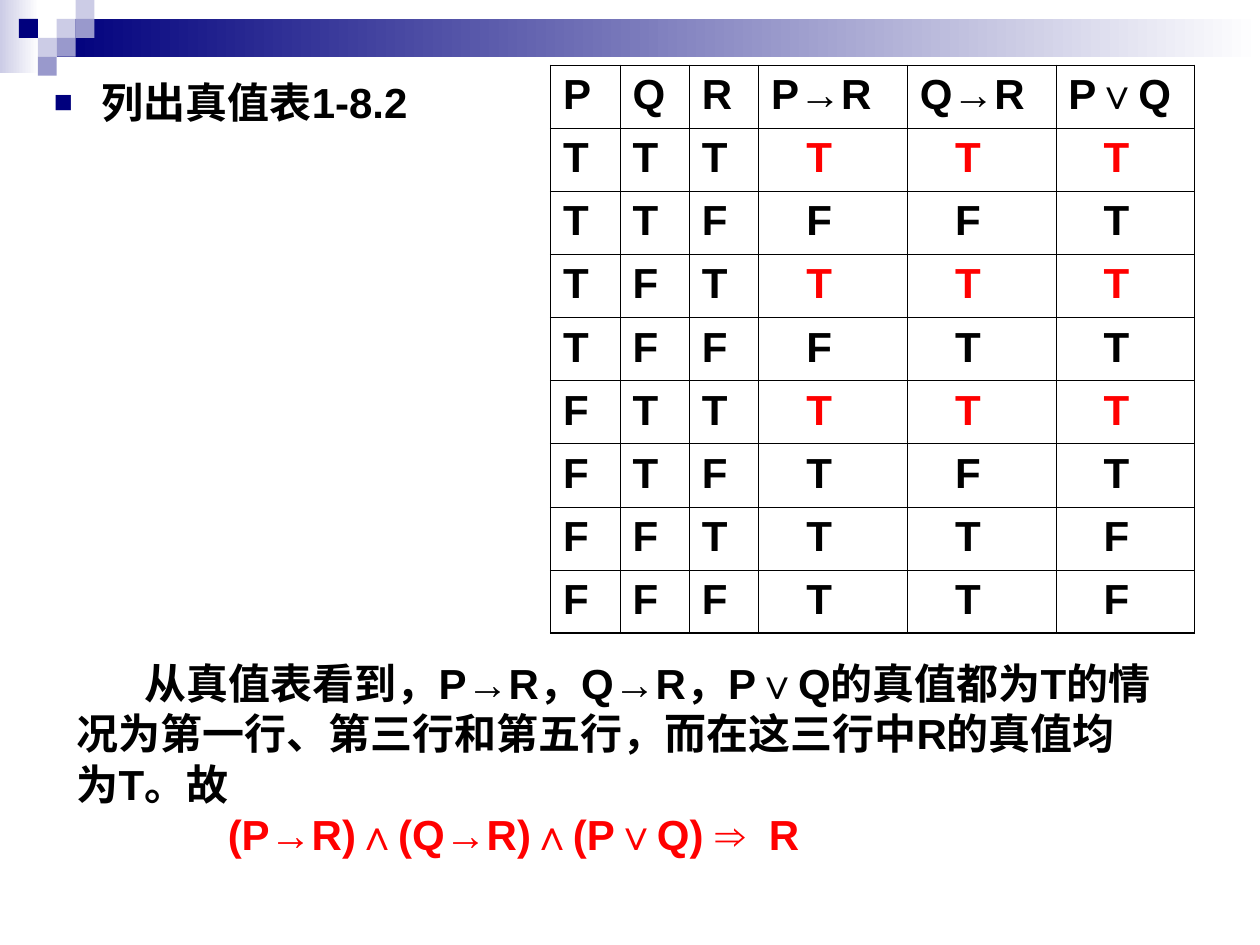
import itertools

import pptx
import pptx.dml.color
import pptx.enum.shapes
import pptx.oxml
import pptx.oxml.ns
import pptx.util

RGBColor = pptx.dml.color.RGBColor
Inches = pptx.util.Inches
Pt = pptx.util.Pt

NAVY = RGBColor(0x00, 0x00, 0x7D)
PERIWINKLE = RGBColor(0x99, 0x99, 0xCC)
LAVENDER = RGBColor(0xCC, 0xCC, 0xE6)
WHITE = RGBColor(0xFF, 0xFF, 0xFF)
BLACK = RGBColor(0x00, 0x00, 0x00)
RED = RGBColor(0xFF, 0x00, 0x00)

WIDTH, HEIGHT = 10, 7.5
UNIT = 0.15  # side of one header square
FONT = {"name": "Arial", "size": Pt(24), "bold": True}
MARGINS = {"margin_left": Inches(0.1), "margin_right": Inches(0.1),
           "margin_top": Inches(0.05), "margin_bottom": Inches(0.05)}

# (column, row, colour) on the header grid
SQUARES = [(3, 1, LAVENDER), (4, 0, LAVENDER), (4, 1, PERIWINKLE),
           (2, 2, LAVENDER), (1, 1, NAVY), (3, 2, PERIWINKLE),
           (2, 3, PERIWINKLE)]

HEADINGS = ["P", "Q", "R", "P→R", "Q→R", "P∨Q"]
COLUMN_WIDTHS = [0.55, 0.55, 0.55, 1.18, 1.18, 1.1]
ROW_HEIGHT = 0.5
RESULT_INDENT = 0.28

CONCLUSION = [
    ("从真值表看到，P→R，Q→R，P∨Q的真值都为T的情况为第一行、第三行和第五行，"
     "而在这三行中R的真值均为T。故", BLACK, 0.54),
    ("(P→R)∧(Q→R)∧(P∨Q) ⇒  R", RED, 1.2),
]


def apply(target, values):
    for name, value in values.items():
        setattr(target, name, value)


def add_xml(parent, xml):
    ns = pptx.oxml.ns.nsdecls("a")
    tag, rest = xml[:xml.index(" ")], xml[xml.index(" "):]
    parent.append(pptx.oxml.parse_xml(f"{tag} {ns}{rest}"))


def add_run(p, text, color=BLACK):
    r = p.add_run()
    r.text = text
    apply(r.font, FONT)
    r.font.color.rgb = color


def add_rect(s, left, top, width, height, *colors):
    """One colour gives a solid fill, two give a left-to-right gradient."""
    sp = s.shapes.add_shape(pptx.enum.shapes.MSO_SHAPE.RECTANGLE,
                            *map(Inches, (left, top, width, height)))
    sp.shadow.inherit = False
    sp.line.fill.background()
    if len(colors) == 1:
        sp.fill.solid()
        sp.fill.fore_color.rgb = colors[0]
        return
    sp.fill.gradient()
    sp.fill.gradient_angle = 0
    for stop, position, color in zip(sp.fill.gradient_stops, (0, 1), colors):
        stop.position = position
        stop.color.rgb = color


def add_header(s):
    add_rect(s, 0, 0, 0.31, 0.58, LAVENDER, WHITE)
    add_rect(s, 3 * UNIT, UNIT, WIDTH - 3 * UNIT, 2 * UNIT, NAVY, WHITE)
    for col, row, color in SQUARES:
        add_rect(s, col * UNIT, row * UNIT, UNIT, UNIT, color)


def add_text(s, left, top, width, height):
    tf = s.shapes.add_textbox(*map(Inches, (left, top, width, height))).text_frame
    apply(tf, {"word_wrap": True, **MARGINS})
    return tf


def add_bullet_line(s, text):
    p = add_text(s, 0.33, 0.6, 3.17, 0.79).paragraphs[0]
    apply(p, {"line_spacing": 0.9, "space_before": Pt(6)})
    pPr = p._p.get_or_add_pPr()
    pPr.set("marL", str(Inches(0.38)))
    pPr.set("indent", str(-Inches(0.38)))
    add_xml(pPr, f'<a:buClr ><a:srgbClr val="{NAVY}"/></a:buClr>')
    add_xml(pPr, '<a:buSzPct val="75000"/>')
    add_xml(pPr, '<a:buFont typeface="Arial"/>')
    add_xml(pPr, '<a:buChar char="■"/>')
    add_run(p, text)


def truth_rows():
    """Yield the truth values of each row, P changing slowest."""
    for p, q, r in itertools.product((True, False), repeat=3):
        yield p, q, r, not p or r, not q or r, p or q


def set_borders(cell, outer_sides):
    tcPr = cell._tc.get_or_add_tcPr()
    for side in "LRTB":
        width = Pt(1.08 if side in outer_sides else 0.45)
        add_xml(tcPr, f'<a:ln{side} w="{width}"><a:solidFill>'
                      f'<a:srgbClr val="{BLACK}"/></a:solidFill></a:ln{side}>')


def fill_cell(cell, text, color, indent, outer_sides):
    apply(cell, MARGINS)
    cell.margin_left = Inches(0.1 + indent)
    set_borders(cell, outer_sides)
    cell.fill.background()
    p = cell.text_frame.paragraphs[0]
    p.space_before = Pt(6)
    add_run(p, text, color)


def add_truth_table(s):
    rows = [(HEADINGS, BLACK, 0)]
    for values in truth_rows():
        color = RED if all(values[3:]) else BLACK
        rows.append((["T" if v else "F" for v in values], color, RESULT_INDENT))
    n_rows, n_cols = len(rows), len(HEADINGS)
    table = s.shapes.add_table(
        n_rows, n_cols, Inches(4.37), Inches(0.52),
        Inches(sum(COLUMN_WIDTHS)), Inches(n_rows * ROW_HEIGHT)).table
    apply(table, {"first_row": False, "horz_banding": False})
    for column, width in zip(table.columns, COLUMN_WIDTHS):
        column.width = Inches(width)
    for i, (texts, color, indent) in enumerate(rows):
        table.rows[i].height = Inches(ROW_HEIGHT)
        for j, text in enumerate(texts):
            edges = {"L": j == 0, "R": j == n_cols - 1,
                     "T": i == 0, "B": i == n_rows - 1}
            outer_sides = [side for side, outer in edges.items() if outer]
            is_result = j >= 3
            fill_cell(table.cell(i, j), text, color if is_result else BLACK,
                      indent if is_result else 0, outer_sides)


def add_conclusion(s):
    tf = add_text(s, 0.51, 5.17, 8.74, 1.7)
    for i, (text, color, indent) in enumerate(CONCLUSION):
        p = tf.add_paragraph() if i else tf.paragraphs[0]
        p._p.get_or_add_pPr().set("indent", str(Inches(indent)))
        add_run(p, text, color)


def main():
    prs = pptx.Presentation()
    apply(prs, {"slide_width": Inches(WIDTH), "slide_height": Inches(HEIGHT)})
    s = prs.slides.add_slide(prs.slide_layouts[6])
    add_header(s)
    add_bullet_line(s, "列出真值表1-8.2")
    add_truth_table(s)
    add_conclusion(s)
    prs.save("out.pptx")


if __name__ == "__main__":
    main()
